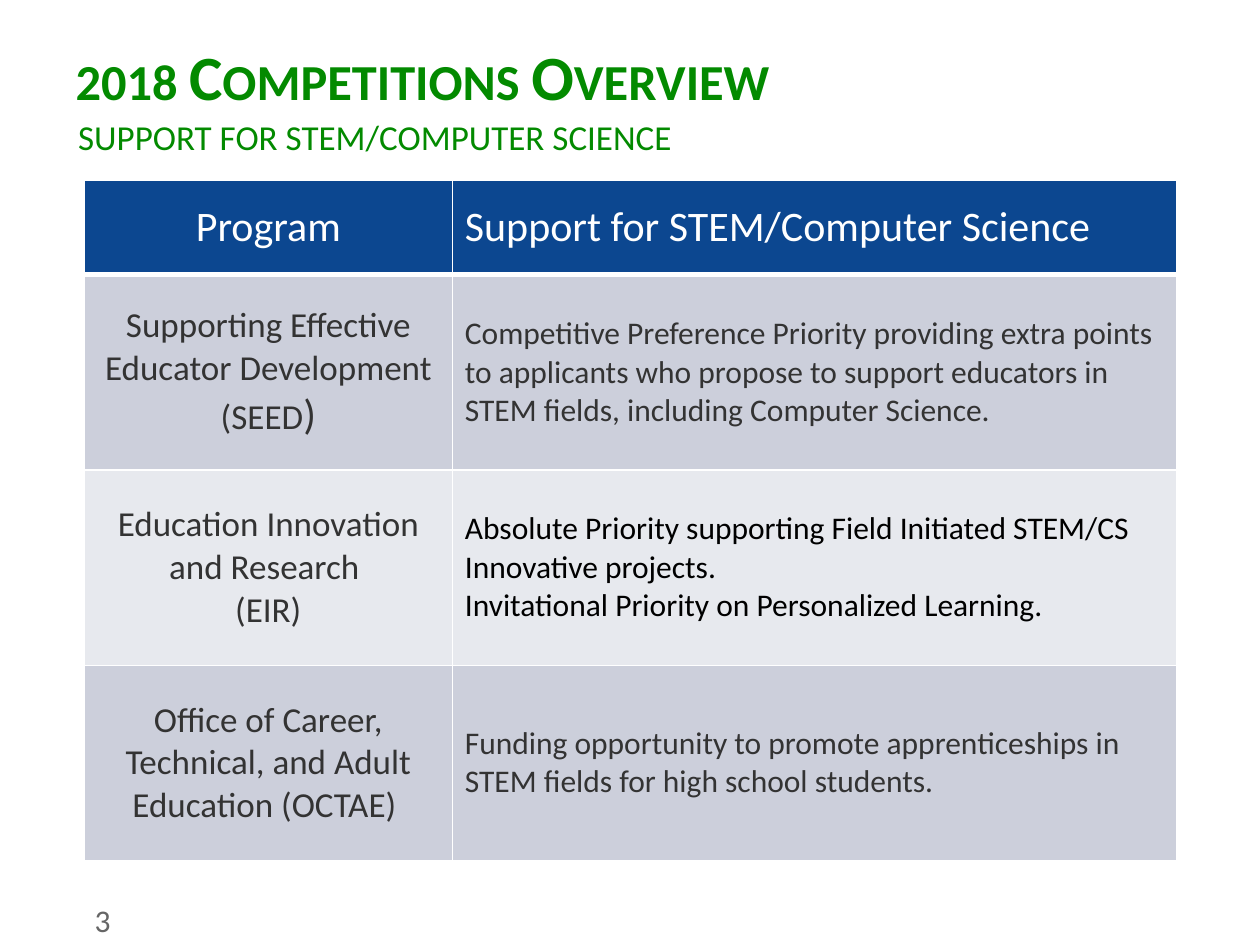
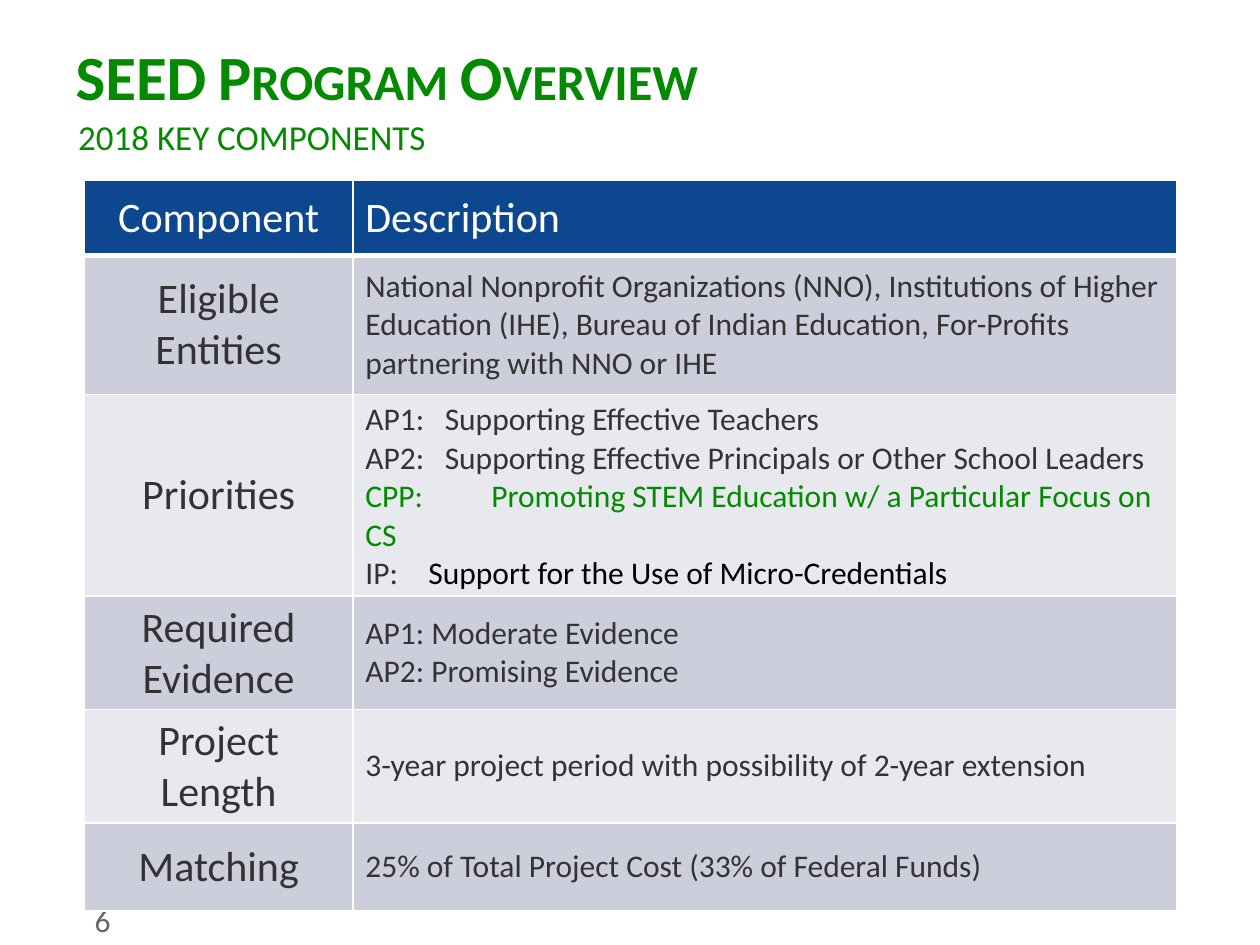
"""Build two program overview slides, each with a title, a subtitle and a table."""
import dataclasses

import lxml.etree
import pptx
import pptx.dml.color
import pptx.enum.text
import pptx.oxml.ns
import pptx.util

Inches = pptx.util.Inches
Pt = pptx.util.Pt
Align = pptx.enum.text.PP_ALIGN
Anchor = pptx.enum.text.MSO_ANCHOR


@dataclasses.dataclass(frozen=True)
class Theme:
    font: str = "Calibri"
    green: str = "038A00"
    header: str = "0C4790"
    bands: tuple = ("CCCFDB", "E7E9EE")
    white: str = "FFFFFF"
    black: str = "000000"
    text: str = "333333"
    number: str = "666666"
    title_size: int = 36
    large_size: int = 24
    medium_size: int = 20
    small_size: int = 18
    border: int = 1
    header_border: int = 3


@dataclasses.dataclass(frozen=True)
class Run:
    text: str
    color: str | None = None
    size: int | None = None


@dataclasses.dataclass(frozen=True)
class Line:
    runs: tuple
    tab: float | None = None


THEME = Theme()


def add_element(parent, tag, **attributes):
    element = lxml.etree.SubElement(parent, pptx.oxml.ns.qn(tag))
    for name, value in attributes.items():
        element.set(name, str(value))
    return element


def write_text(frame, lines, *, size, color, align=Align.LEFT, bold=False,
               small_caps=False, indent=None):
    frame.word_wrap = True
    for index, line in enumerate(lines):
        if isinstance(line, str):
            line = Line((Run(line),))
        paragraph = frame.add_paragraph() if index else frame.paragraphs[0]
        paragraph.alignment = align
        paragraph.space_before = Pt(0)
        properties = paragraph._p.get_or_add_pPr()
        if indent:
            margin, first_line = indent
            properties.set("marL", str(Inches(margin)))
            properties.set("indent", str(Inches(first_line)))
            add_element(properties, "a:buNone")
        if line.tab:
            tabs = add_element(properties, "a:tabLst")
            add_element(tabs, "a:tab", pos=Inches(line.tab), algn="l")
        for part in line.runs:
            run = paragraph.add_run()
            run.text = part.text
            run.font.name = THEME.font
            run.font.size = Pt(part.size or size)
            run.font.bold = bold
            run.font.color.rgb = pptx.dml.color.RGBColor.from_string(part.color or color)
            if small_caps:
                run._r.get_or_add_rPr().set("cap", "small")


class Deck:
    def __init__(self, theme):
        self.theme = theme
        self.presentation = pptx.Presentation()
        self.presentation.slide_width = Inches(10)
        self.presentation.slide_height = Inches(7.5)
        self.slide = None

    def add_slide(self, title, subtitle, number):
        layout = self.presentation.slide_layouts[1]
        self.slide = self.presentation.slides.add_slide(layout)
        self.fill_placeholder(0, title, 0.25, 0.62, size=self.theme.title_size,
                              bold=True, small_caps=True)
        self.add_number(number)
        self.fill_placeholder(1, subtitle, 0.87, 0.55, size=self.theme.medium_size,
                              indent=(0.4, -0.38))

    def fill_placeholder(self, index, text, top, height, **style):
        shape = self.slide.placeholders[index]
        shape.left, shape.top = Inches(0.5), Inches(top)
        shape.width, shape.height = Inches(9), Inches(height)
        frame = shape.text_frame
        frame.auto_size = pptx.enum.text.MSO_AUTO_SIZE.NONE
        frame.vertical_anchor = Anchor.TOP
        write_text(frame, [text], color=self.theme.green, **style)

    def add_number(self, number):
        shape = self.slide.shapes.add_textbox(Inches(0.75), Inches(7.1),
                                              Inches(0.58), Inches(0.4))
        frame = shape.text_frame
        frame.margin_left = frame.margin_right = 0
        write_text(frame, [str(number)], size=self.theme.small_size,
                   color=self.theme.number)

    def add_table(self, header, rows, widths, heights, label_size):
        theme = self.theme
        shape = self.slide.shapes.add_table(
            len(heights), len(widths), Inches(0.67), Inches(1.43),
            Inches(sum(widths)), Inches(sum(heights)))
        table = shape.table
        for column, width in zip(table.columns, widths):
            column.width = Inches(width)
        for row, height in zip(table.rows, heights):
            row.height = Inches(height)
        for column, text in enumerate(header):
            self.fill_cell(table.cell(0, column), [text], theme.header, column,
                           size=theme.large_size, color=theme.white)
        for row, contents in enumerate(rows, start=1):
            band = theme.bands[(row - 1) % len(theme.bands)]
            for column, lines in enumerate(contents):
                size = theme.small_size if column else label_size
                self.fill_cell(table.cell(row, column), lines, band, column,
                               size=size, color=theme.text)
        for row in range(len(heights)):
            for column in range(len(widths)):
                self.draw_borders(table.cell(row, column), row)

    def fill_cell(self, cell, lines, fill, column, **style):
        cell.vertical_anchor = Anchor.MIDDLE
        cell.fill.solid()
        cell.fill.fore_color.rgb = pptx.dml.color.RGBColor.from_string(fill)
        write_text(cell.text_frame, lines,
                   align=Align.LEFT if column else Align.CENTER, **style)

    def draw_borders(self, cell, row):
        properties = cell._tc.get_or_add_tcPr()
        heavy_side = {0: "B", 1: "T"}.get(row)
        for position, side in enumerate("LRTB"):
            width = self.theme.header_border if side == heavy_side else self.theme.border
            border = lxml.etree.Element(pptx.oxml.ns.qn(f"a:ln{side}"), w=str(Pt(width)))
            fill = add_element(border, "a:solidFill")
            add_element(fill, "a:srgbClr", val=self.theme.white)
            properties.insert(position, border)

    def save(self):
        self.presentation.save("out.pptx")


def build_competitions(deck):
    deck.add_slide("2018 Competitions Overview", "SUPPORT FOR STEM/COMPUTER SCIENCE", 3)
    seed = Line((Run("Supporting Effective Educator Development (SEED"),
                 Run(")", size=THEME.large_size)))
    innovation = [
        Line((Run(text, THEME.black),)) for text in (
            "Absolute Priority supporting Field Initiated STEM/CS Innovative projects.",
            "Invitational Priority on Personalized Learning.")]
    rows = [
        ([seed], ["Competitive Preference Priority providing extra points to applicants "
                  "who propose to support educators in STEM fields, including "
                  "Computer Science."]),
        (["Education Innovation and Research ", "(EIR)"], innovation),
        (["Office of Career, Technical, and Adult Education (OCTAE) "],
         ["Funding opportunity to promote apprenticeships in STEM fields "
          "for high school students."]),
    ]
    deck.add_table(("Program", "Support for STEM/Computer Science"), rows,
                   widths=(2.92, 5.75), heights=(0.75, 1.55, 1.55, 1.55),
                   label_size=THEME.medium_size)


def build_seed(deck):
    deck.add_slide("SEED Program Overview", "2018 KEY COMPONENTS", 6)
    priorities = [
        Line((Run("AP1: \tSupporting Effective Teachers"),), tab=0.63),
        Line((Run("AP2: \tSupporting Effective Principals or Other School Leaders"),),
             tab=0.63),
        Line((Run("CPP: \tPromoting STEM Education w/ a Particular Focus on CS",
                  THEME.green),), tab=1),
        Line((Run("IP: \t"), Run("Support for the Use of Micro-Credentials", THEME.black)),
             tab=0.5),
    ]
    rows = [
        (["Eligible Entities"],
         ["National Nonprofit Organizations (NNO), Institutions of Higher Education (IHE), "
          "Bureau of Indian Education, For-Profits partnering with NNO or IHE"]),
        (["Priorities"], priorities),
        (["Required Evidence"], ["AP1: Moderate Evidence", "AP2: Promising Evidence"]),
        (["Project Length"], ["3-year project period with possibility of 2-year extension"]),
        (["Matching"], ["25% of Total Project Cost (33% of Federal Funds)"]),
    ]
    deck.add_table(("Component", "Description"), rows, widths=(2.13, 6.54),
                   heights=(0.6, 1.1, 1.4, 0.9, 0.7, 0.7), label_size=THEME.large_size)


def main():
    deck = Deck(THEME)
    build_competitions(deck)
    build_seed(deck)
    deck.save()


if __name__ == "__main__":
    main()
